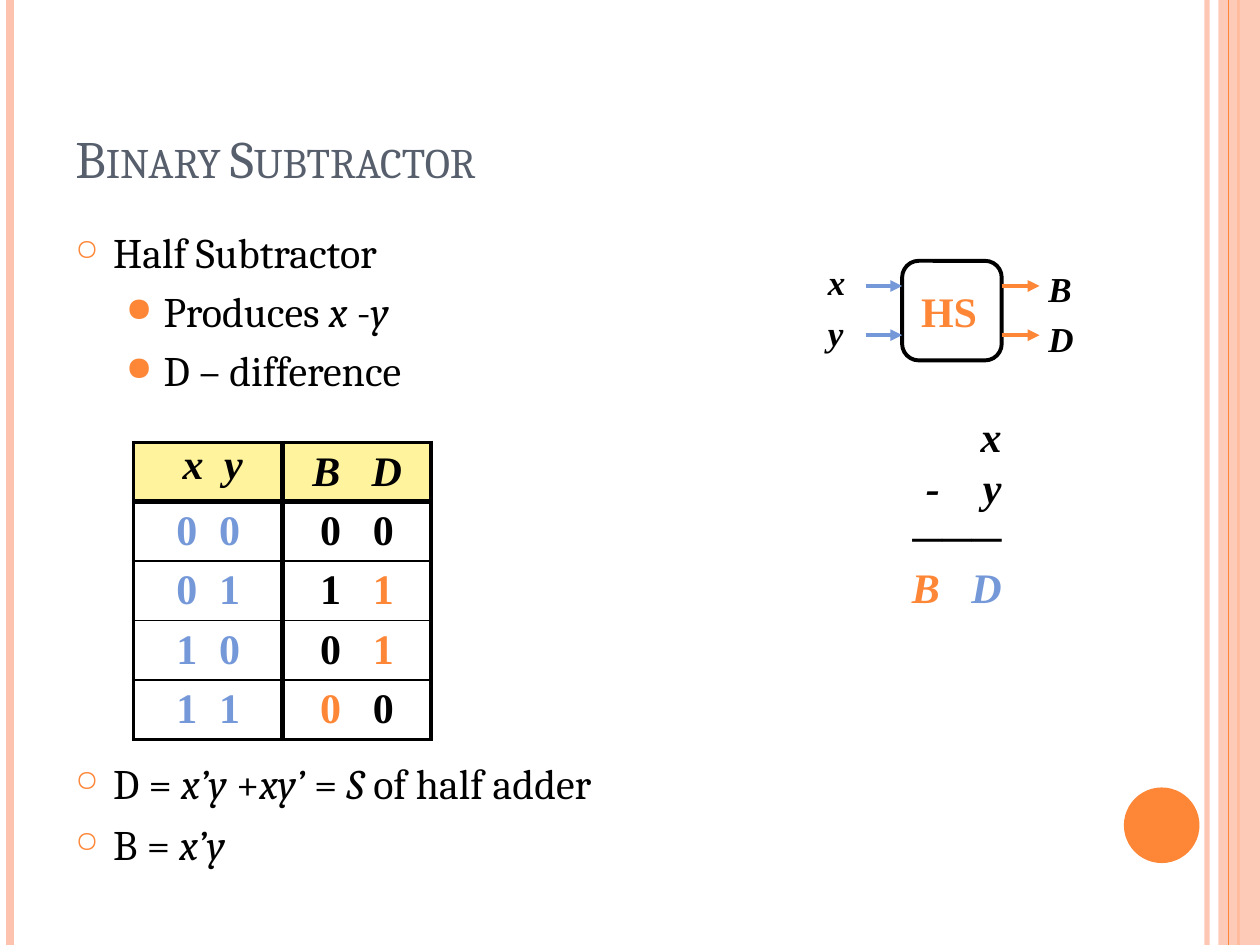
from lxml import etree
from pptx import Presentation
from pptx.dml.color import RGBColor
from pptx.enum import shapes, text
from pptx.oxml.ns import qn
from pptx.util import Inches, Pt

BLACK = RGBColor(0, 0, 0)
ORANGE = RGBColor(0xFE, 0x86, 0x37)
PEACH = RGBColor(0xFE, 0xC3, 0xAE)
BLUE = RGBColor(0x75, 0x98, 0xD9)
SLATE = RGBColor(0x57, 0x5F, 0x6D)
YELLOW = RGBColor(0xFF, 0xF3, 0x9D)

BODY = dict(name="Cambria", size=Pt(24))
BODY_ITALIC = dict(BODY, italic=True)
MATH = dict(name="Times New Roman", size=Pt(24), bold=True, italic=True)
DIGIT = dict(MATH, italic=False)
PORT = dict(MATH, size=Pt(20))

BULLETS = [
    dict(character="○", scale="70000", left=0.3, before=6),
    dict(character="●", scale="80000", left=0.7, before=5),
]


def child(parent, tag, **attributes):
    return etree.SubElement(parent, qn(tag), attributes)


def set_alpha(element, percent):
    color = next(element.iter(qn("a:srgbClr")))
    child(color, "a:alpha", val=str(percent * 1000))


def add_run(paragraph, words, style, color=BLACK):
    run = paragraph.add_run()
    run.text = words
    for name, value in style.items():
        setattr(run.font, name, value)
    run.font.color.rgb = color
    return run


def set_tabs(paragraph, stops, align):
    tabs = child(paragraph._p.get_or_add_pPr(), "a:tabLst")
    for stop in stops:
        child(tabs, "a:tab", pos=str(Inches(stop)), algn=align)


def set_bullet(paragraph, level):
    bullet = BULLETS[level]
    paragraph.level = level
    paragraph.space_before = Pt(bullet["before"])
    properties = paragraph._p.get_or_add_pPr()
    properties.set("marL", str(Inches(bullet["left"])))
    properties.set("indent", str(Inches(-0.3)))
    child(child(properties, "a:buClr"), "a:srgbClr", val=str(ORANGE))
    child(properties, "a:buSzPct", val=bullet["scale"])
    child(properties, "a:buChar", char=bullet["character"])


def add_text_frame(parent, left, top, width, height, inset=0.0, wrap=True):
    box = parent.add_textbox(Inches(left), Inches(top), Inches(width), Inches(height))
    frame = box.text_frame
    frame.word_wrap = wrap
    for side in ("left", "top", "right", "bottom"):
        setattr(frame, f"margin_{side}", Inches(inset))
    return frame


def paragraphs_for(frame, items):
    for index, item in enumerate(items):
        yield frame.paragraphs[0] if index == 0 else frame.add_paragraph(), item


def add_line(parent, start, end, color, width, arrow=False):
    line = parent.add_connector(
        shapes.MSO_CONNECTOR.STRAIGHT, *(Inches(value) for value in start + end))
    line.line.color.rgb = color
    line.line.width = Pt(width)
    child(line._element.spPr, "a:effectLst")
    if arrow:
        child(line.line._get_or_add_ln(), "a:tailEnd", type="triangle")
    return line


def add_shape(parent, kind, left, top, width, height, fill=None, outline=None):
    shape = parent.add_shape(
        kind, Inches(left), Inches(top), Inches(width), Inches(height))
    shape.shadow.inherit = False
    if fill is None:
        shape.fill.background()
    else:
        shape.fill.solid()
        shape.fill.fore_color.rgb = fill
    if outline is None:
        shape.line.fill.background()
    else:
        shape.line.color.rgb = outline
        shape.line.width = Pt(2.25)
    return shape


def add_frame_decoration(slide):
    def bar(x, color, width):
        return add_line(slide.shapes, (x, 0), (x, 7.5), color, width)

    set_alpha(bar(9.58, PEACH, 3)._element, 93)
    bar(0.08, PEACH, 4.5)
    bar(9.83, ORANGE, 1.5)
    band = add_shape(slide.shapes, shapes.MSO_SHAPE.RECTANGLE, 9.67, 0, 0.33, 7.5, PEACH)
    set_alpha(band._element, 87)
    bar(9.75, ORANGE, 0.75)
    add_shape(slide.shapes, shapes.MSO_SHAPE.OVAL, 8.92, 6.25, 0.6, 0.6, ORANGE)


def add_title(slide, words):
    frame = add_text_frame(slide.shapes, 0.5, 0.3, 8.42, 1.25, 0.1)
    frame.margin_top = frame.margin_bottom = Inches(0.05)
    frame.vertical_anchor = text.MSO_ANCHOR.BOTTOM
    run = add_run(frame.paragraphs[0], words, dict(BODY, size=Pt(30)), SLATE)
    run.font._element.set("cap", "small")


def add_bullets(slide, top, height, items):
    frame = add_text_frame(slide.shapes, 0.5, top, 8.42, height, 0.1)
    frame.margin_top = frame.margin_bottom = Inches(0.05)
    for paragraph, (level, *parts) in paragraphs_for(frame, items):
        set_bullet(paragraph, level)
        for index, part in enumerate(parts):
            add_run(paragraph, part, BODY_ITALIC if index % 2 else BODY)


def add_half_subtractor(slide):
    group = slide.shapes.add_group_shape().shapes
    add_shape(group, shapes.MSO_SHAPE.ROUNDED_RECTANGLE, 7.16, 2.07, 0.79, 0.79,
              outline=BLACK)
    for y in (2.27, 2.66):
        add_line(group, (6.87, y), (7.16, y), BLUE, 2.25, arrow=True)
        add_line(group, (7.95, y), (8.25, y), ORANGE, 2.25, arrow=True)
    label = add_text_frame(group, 7.31, 2.27, 0.45, 0.4, wrap=False)
    add_run(label.paragraphs[0], "HS", DIGIT, ORANGE)
    for left, top, ports in ((6.57, 2.07, "xy"), (8.32, 2.12, "BD")):
        frame = add_text_frame(group, left, top, 0.2, 0.72)
        for paragraph, port in paragraphs_for(frame, ports):
            paragraph.space_before = Pt(5)
            add_run(paragraph, port, PORT)


def set_borders(cell, **widths):
    properties = cell._tc.get_or_add_tcPr()
    for side in "LRTB":
        line = child(properties, f"a:ln{side}", w=str(Pt(widths[side])))
        child(child(line, "a:solidFill"), "a:srgbClr", val=str(BLACK))


def add_truth_table(slide):
    rows = [("xy", "BD"), ("00", "00"), ("01", "11"), ("10", "01"), ("11", "00")]
    highlights = {(2, 1, 1), (3, 1, 1), (4, 1, 0)}
    insets = {True: (0.39, 0.24), False: (0.34, 0.3)}
    gaps = {True: (0.33, 0.47), False: (0.34, 0.42)}
    table = slide.shapes.add_table(
        5, 2, Inches(1.06), Inches(3.51), Inches(2.36), Inches(2.36)).table
    table.first_row = table.horz_banding = False
    for row, pairs in enumerate(rows):
        header = row == 0
        for column, pair in enumerate(pairs):
            cell = table.cell(row, column)
            set_borders(
                cell, L=3 if column else 2.25, R=2.25 if column else 3,
                T={0: 2.25, 1: 3}.get(row, 1), B={0: 3, 4: 2.25}.get(row, 1))
            if header:
                cell.fill.solid()
                cell.fill.fore_color.rgb = YELLOW
            else:
                cell.fill.background()
            cell.margin_left = Inches(insets[header][column])
            cell.margin_top = cell.margin_right = cell.margin_bottom = 0
            cell.vertical_anchor = (text.MSO_ANCHOR.TOP if header and column == 0
                                    else text.MSO_ANCHOR.MIDDLE)
            paragraph = cell.text_frame.paragraphs[0]
            set_tabs(paragraph, [gaps[header][column]], "l")
            base = BLACK if header or column else BLUE
            for place, symbol in enumerate(pair):
                color = ORANGE if (row, column, place) in highlights else base
                add_run(paragraph, "\t" * place + symbol, MATH if header else DIGIT, color)


def add_subtraction(slide):
    lines = [
        ([0.73], [("\tx", BLACK)]),
        ([0.24, 0.73], [("\t-", BLACK), ("\ty", BLACK)]),
        ([0.73], [("\t───", BLACK)]),
        ([0.24, 0.73], [("\tB", ORANGE), ("\tD", BLUE)]),
    ]
    frame = add_text_frame(slide.shapes, 7.22, 3.26, 0.83, 1.62)
    for paragraph, (stops, parts) in paragraphs_for(frame, lines):
        set_tabs(paragraph, stops, "r")
        for words, color in parts:
            add_run(paragraph, words, MATH, color)


def main():
    presentation = Presentation()
    presentation.slide_width, presentation.slide_height = Inches(10), Inches(7.5)
    slide = presentation.slides.add_slide(presentation.slide_layouts[6])
    add_frame_decoration(slide)
    add_title(slide, "Binary Subtractor")
    add_bullets(slide, 1.75, 1.5, [
        (0, "Half Subtractor"), (1, "Produces ", "x", " -", "y"), (1, "D – difference")])
    add_bullets(slide, 5.96, 1.12, [
        (0, "D = ", "x’y", " +", "xy’", " = ", "S", " of half adder"),
        (0, "B = ", "x’y")])
    add_half_subtractor(slide)
    add_truth_table(slide)
    add_subtraction(slide)
    presentation.save("out.pptx")


if __name__ == "__main__":
    main()
